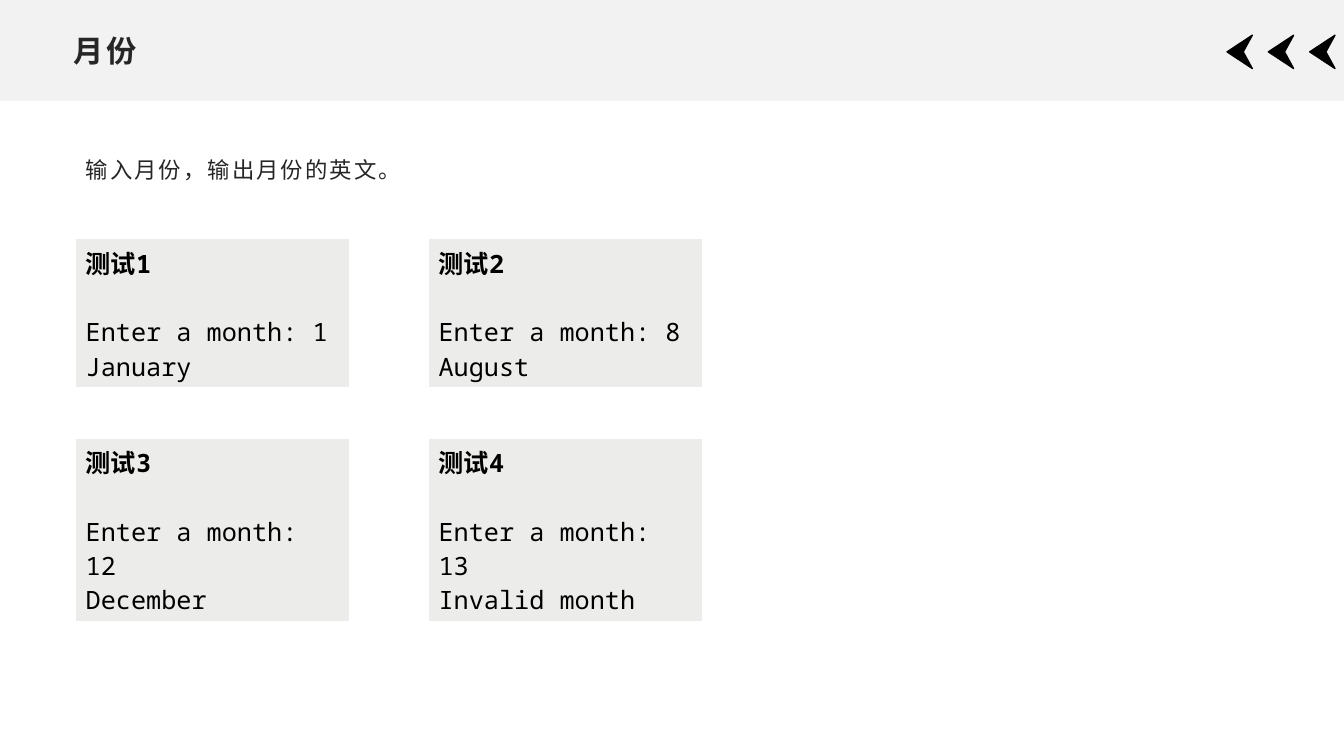
import pptx
import pptx.util
import pptx.dml.color
import pptx.enum.shapes
import pptx.enum.text
import pptx.oxml
import pptx.oxml.ns

WIDE, HIGH = 13.33, 7.5
COLORS = {
    "band": "F2F2F2",
    "card": "ECECEA",
    "edge": "FFFFFF",
    "arrow": "000000",
    "code": "000000",
    "text": "262626",
}
TESTS = [
    ("测试1", "Enter a month: 1", "January"),
    ("测试2", "Enter a month: 8", "August"),
    ("测试3", "Enter a month: 12", "December"),
    ("测试4", "Enter a month: 13", "Invalid month"),
]
Inches, Pt = pptx.util.Inches, pptx.util.Pt


def rgb(name):
    return pptx.dml.color.RGBColor.from_string(COLORS[name])


def place(shape, box):
    shape.left, shape.top, shape.width, shape.height = map(Inches, box)


def paint(shape, fill, line=None):
    shape.shadow.inherit = False
    shape.fill.solid()
    shape.fill.fore_color.rgb = rgb(fill)
    if line:
        shape.line.color.rgb = rgb(fill)
        shape.line.width = Pt(line)
    else:
        shape.line.fill.background()


def write(para, text, size, font="Arial", color="text", bold=False,
          track=0, lead=None, after=0):
    """Fill one left-aligned paragraph; track, lead and after set spacing."""
    para.alignment = pptx.enum.text.PP_ALIGN.LEFT
    para.space_before, para.space_after = Pt(0), Pt(after)
    if lead:
        para.line_spacing = lead
    run = para.add_run()
    run.text = text
    run.font.size, run.font.name, run.font.bold = Pt(size), font, bold
    run.font.color.rgb = rgb(color)
    if track:
        run.font._element.set("spc", str(int(track * 100)))


def arrows(shapes, box, count=3):
    """Draw notched arrowheads pointing left, spread evenly over the box."""
    left, top, width, height = box
    tip = 0.25
    step = (width - tip) / (count - 1)
    group = shapes.add_group_shape()
    for i in range(count):
        x = left + i * step
        back, mid = x + tip, top + height / 2
        pen = group.shapes.build_freeform(
            Inches(back), Inches(top + height))
        pen.add_line_segments([
            (Inches(x), Inches(mid)),
            (Inches(back), Inches(top)),
            (Inches(x + 0.16), Inches(mid)),
        ], close=True)
        paint(pen.convert_to_shape(), "arrow", line=1)


def header(slide, box, text):
    left, top, width, height = box
    band = slide.shapes.add_shape(
        pptx.enum.shapes.MSO_SHAPE.RECTANGLE, *map(Inches, box))
    paint(band, "band")
    slide.shapes._spTree.insert(2, band._element)
    arrows(slide.shapes, (left + width - 1.16, top + height * 0.35,
                          1.07, height * 0.33))
    title = slide.shapes.title
    place(title, (left + 0.63, top + height * 0.26, 12.07, height * 0.48))
    frame = title.text_frame
    frame.auto_size = pptx.enum.text.MSO_AUTO_SIZE.NONE
    frame.vertical_anchor = pptx.enum.text.MSO_ANCHOR.MIDDLE
    write(frame.paragraphs[0], text, 21.6, bold=True, track=2)


def prompt(slide, box, text):
    body = slide.placeholders[1]
    place(body, box)
    frame = body.text_frame
    frame.auto_size = pptx.enum.text.MSO_AUTO_SIZE.NONE
    frame.vertical_anchor = pptx.enum.text.MSO_ANCHOR.TOP
    para = frame.paragraphs[0]
    write(para, text, 16, track=1.5, lead=1.3, after=10)
    props = para._p.get_or_add_pPr()
    props.set("marL", "0")
    props.set("indent", "0")
    props.append(pptx.oxml.parse_xml(
        "<a:buNone %s/>" % pptx.oxml.ns.nsdecls("a")))


def border(cell):
    props = cell._tc.get_or_add_tcPr()
    for i, (side, width) in enumerate(zip("LRTB", (1, 1, 1, 3))):
        props.insert(i, pptx.oxml.parse_xml(
            '<a:ln%s %s w="%d"><a:solidFill><a:srgbClr val="%s"/>'
            "</a:solidFill></a:ln%s>" % (
                side, pptx.oxml.ns.nsdecls("a"), Pt(width),
                COLORS["edge"], side)))


def card(slide, box, lines):
    table = slide.shapes.add_table(1, 1, *map(Inches, box)).table
    table.first_row = table.horz_banding = False
    cell = table.cell(0, 0)
    cell.fill.solid()
    cell.fill.fore_color.rgb = rgb("card")
    border(cell)
    frame = cell.text_frame
    for i, text in enumerate(lines):
        para = frame.add_paragraph() if i else frame.paragraphs[0]
        write(para, text, 18, font="Noto Sans Mono", color="code",
              bold=i == 0, after=0 if i else 24.5)


def cards(slide, box, tests, cols=2):
    left, top, width, height = box
    wide, high = 2.72, 1.38
    across = (width - wide) / (cols - 1)
    down = (height - high) / (len(tests) // cols - 1)
    for i, lines in enumerate(tests):
        row, col = divmod(i, cols)
        card(slide, (left + col * across, top + row * down, wide, high),
             lines)


def main():
    deck = pptx.Presentation()
    deck.slide_width, deck.slide_height = Inches(WIDE), Inches(HIGH)
    slide = deck.slides.add_slide(deck.slide_layouts[1])
    header(slide, (0, 0, WIDE, 1), "月份")
    prompt(slide, (0.75, 1.42, 3.5, 0.65), "输入月份，输出月份的英文。")
    cards(slide, (0.75, 2.37, 6.22, 3.36), TESTS)
    deck.save("out.pptx")


if __name__ == "__main__":
    main()
